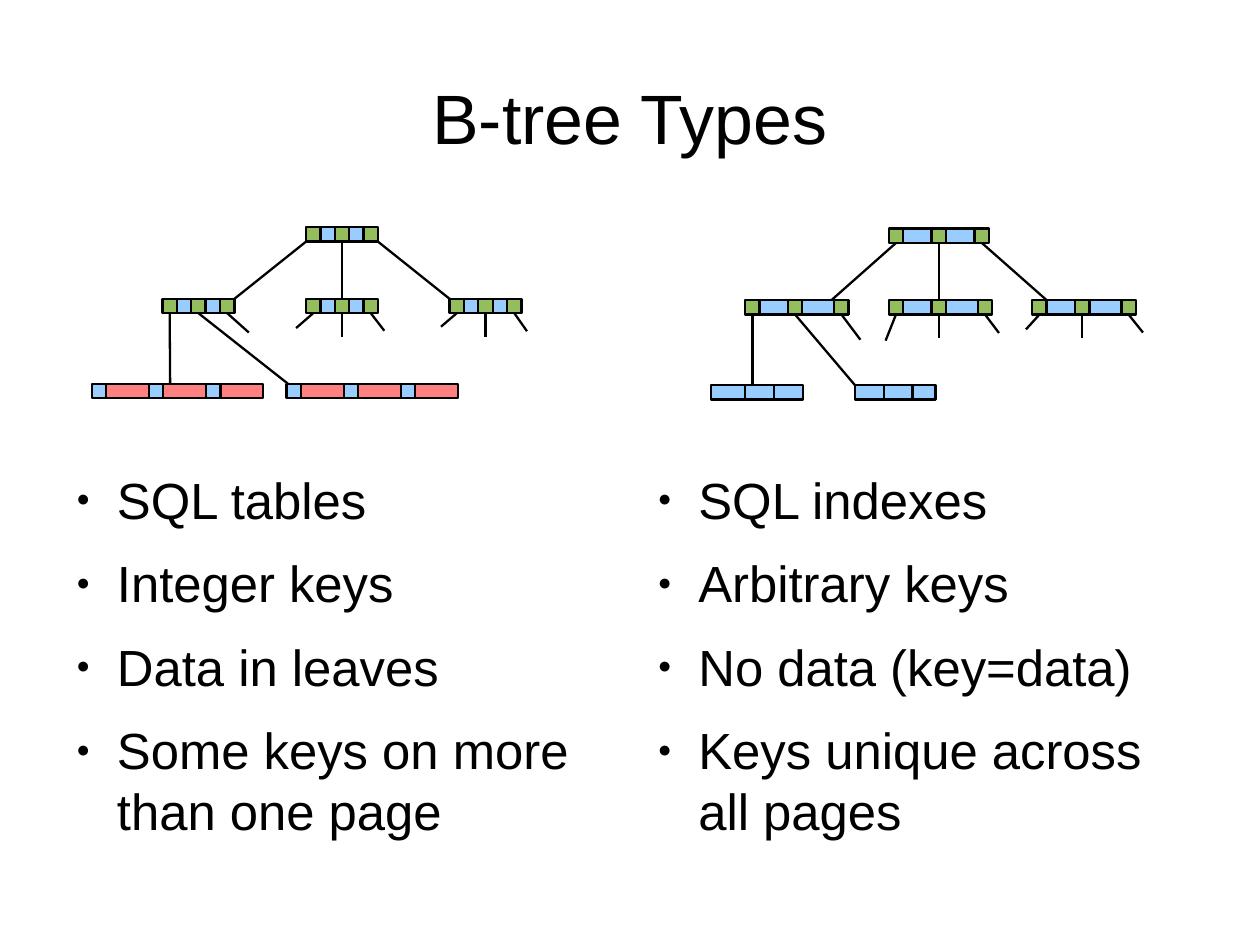
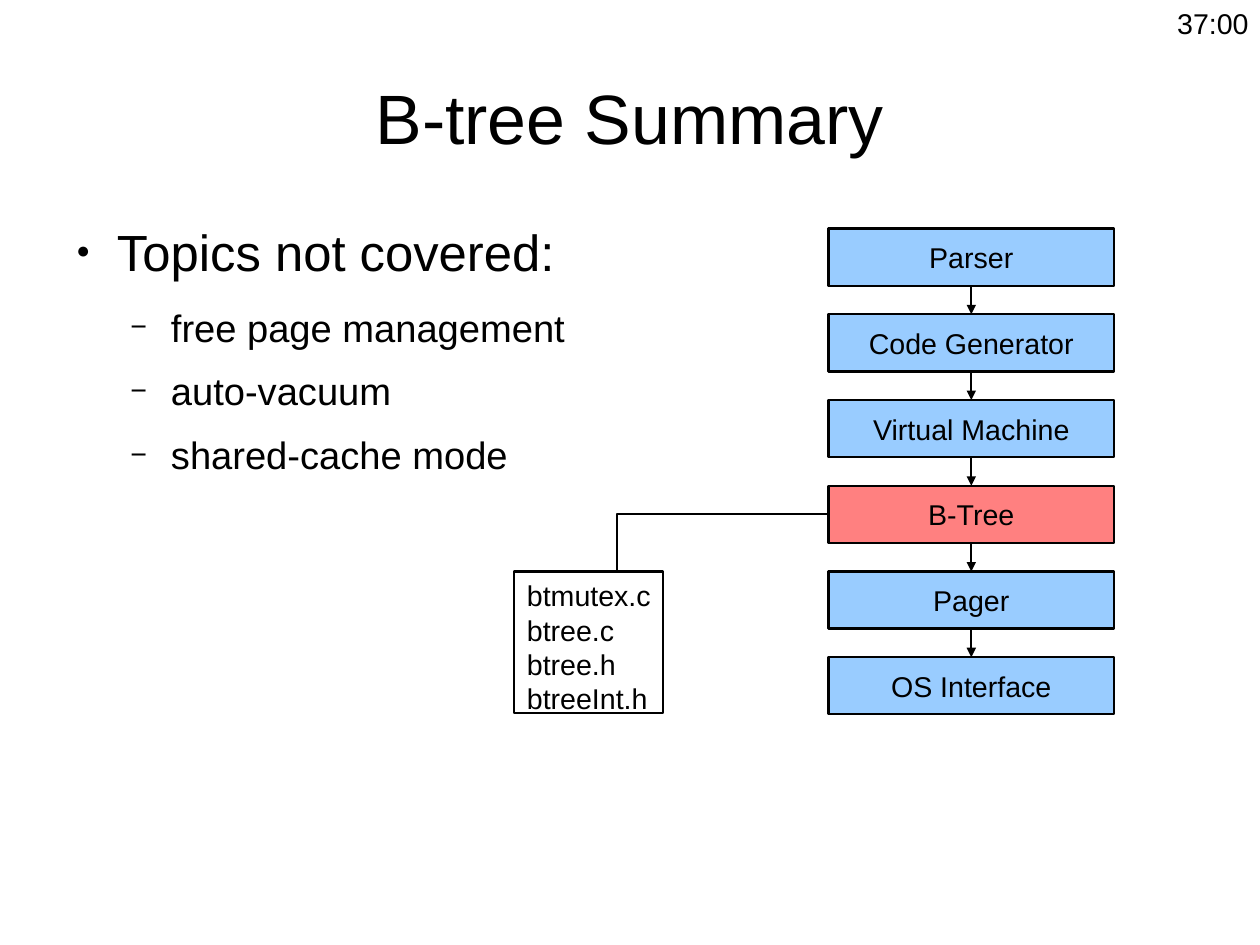
from dataclasses import dataclass

from lxml import etree
from pptx import Presentation
from pptx.dml.color import RGBColor
from pptx.enum import shapes, text
from pptx.oxml import ns
from pptx.util import Cm, Pt


@dataclass(frozen=True)
class Theme:
    font: str = "Arial"
    ink: str = "000000"
    blue: str = "99CCFF"
    green: str = "94BD5E"
    red: str = "FF8080"
    title: int = 44
    body: int = 32
    sub: int = 24
    label: int = 18
    line: float = 1.45


THEME = Theme()

# Bullet levels: character, size in %, left margin in cm, text size, space after
LEVELS = [("●", 45, 1.2, THEME.body, 14.2), ("−", 75, 2.4, THEME.sub, 11.3)]
BULLET_HANG = 0.9

# Lengths in cm. Cells are P (pointer), K (key) or D (data).
CELL_FILLS = {"P": THEME.green, "K": THEME.blue, "D": THEME.red}
CELL = 0.32
NODE_PITCH = 3.19
LEVEL_DROPS = (0, 1.59, 3.48)

# A branch or leaf link goes from (cell, fraction of its width) to another such
# pair; a stub hangs from (node, cell) by (dx, dy).
TREES = [
    {
        "top": 5.05,
        "root": (6.8, "PKPKP", [CELL] * 5),
        "node": (3.61, "PKPKP", [CELL] * 5),
        "leaves": [(x, "KDKDKD", [CELL, 0.95] * 3) for x in (2.04, 6.37)],
        "branches": [((0, 0), (4, 1)), ((2, 0.5), (2, 0.5)), ((4, 1), (0, 0))],
        "leaf_links": [((0, 0.5), (3, 0.16)), ((2, 0.5), (0, 0.1))],
        "stubs": [(0, 4, 0.48, 0.43), (1, 0, -0.38, 0.33), (1, 2, 0, 0.53),
                  (1, 4, 0.3, 0.39), (2, 0, -0.35, 0.3), (2, 2, 0, 0.53),
                  (2, 4, 0.28, 0.4)],
    },
    {
        "top": 5.08,
        "root": (19.75, "PKPKP", [CELL, 0.63, CELL, 0.64, CELL]),
        "node": (16.56, "PKPKP", [CELL, 0.63, CELL, 0.71, CELL]),
        "leaves": [(15.8, "KKK", [0.76, 0.64, 0.64]),
                   (19, "KKK", [0.64, 0.64, 0.51])],
        "branches": [((0, 0.5), (4, -0.2)), ((2, 0.5), (2, 0.5)),
                     ((4, 0.5), (0, 1))],
        "leaf_links": [((0, 0.5), (1, 0.25)), ((2, 0.5), (0, 0))],
        "stubs": [(0, 4, 0.42, 0.56), (1, 0, -0.23, 0.58), (1, 2, 0, 0.53),
                  (1, 4, 0.31, 0.41), (2, 0, -0.3, 0.33), (2, 2, 0, 0.53),
                  (2, 4, 0.32, 0.4)],
    },
]
# Left edge in cm, then the points
COLUMNS = [
    (1.4, ["SQL tables", "Integer keys", "Data in leaves",
           "Some keys on more than one page"]),
    (14.32, ["SQL indexes", "Arbitrary keys", "No data (key=data)",
             "Keys unique across all pages"]),
]

TOPICS = [("Topics not covered:", 0), ("free page management", 1),
          ("auto-vacuum", 1), ("shared-cache mode", 1)]
LAYERS = ["Parser", "Code Generator", "Virtual Machine", "B-Tree", "Pager",
          "OS Interface"]
CURRENT_LAYER = "B-Tree"
FILES = ["btmutex.c", "btree.c", "btree.h", "btreeInt.h"]
TIMESTAMP = "37:00"


def set_line(line):
    line.color.rgb = RGBColor.from_string(THEME.ink)
    line.width = Pt(THEME.line)


def set_font(paragraph, size):
    paragraph.font.name = THEME.font
    paragraph.font.size = Pt(size)
    paragraph.font.color.rgb = RGBColor.from_string(THEME.ink)


def write(shape, lines, size, align, insets, anchor=text.MSO_ANCHOR.TOP, wrap=True):
    """Fill a shape with plain paragraphs; insets are (horizontal, vertical) in cm."""
    frame = shape.text_frame
    frame.word_wrap = wrap
    frame.vertical_anchor = anchor
    frame.margin_left = frame.margin_right = Cm(insets[0])
    frame.margin_top = frame.margin_bottom = Cm(insets[1])
    frame.text = "\n".join(lines)
    for paragraph in frame.paragraphs:
        paragraph.alignment = align
        set_font(paragraph, size)


def add_text(slide, box, lines, size, align=text.PP_ALIGN.LEFT, **options):
    shape = slide.shapes.add_textbox(*map(Cm, box))
    write(shape, lines, size, align, (0, 0), **options)
    return shape


def add_bullets(slide, box, points):
    """Write (text, level) points as a bulleted list."""
    shape = add_text(slide, box, [point for point, _ in points], THEME.body)
    for paragraph, (_, level) in zip(shape.text_frame.paragraphs, points):
        mark, percent, margin, size, after = LEVELS[level]
        paragraph.level = level
        paragraph.space_after = Pt(after)
        set_font(paragraph, size)
        defaults = paragraph.font._element
        props = defaults.getparent()
        props.set("marL", str(Cm(margin)))
        props.set("indent", str(-Cm(BULLET_HANG)))
        color = etree.Element(ns.qn("a:buClr"))
        etree.SubElement(color, ns.qn("a:srgbClr"), val=THEME.ink)
        for element in (color,
                        etree.Element(ns.qn("a:buSzPct"), val=str(percent * 1000)),
                        etree.Element(ns.qn("a:buFont"), typeface=THEME.font),
                        etree.Element(ns.qn("a:buChar"), char=mark)):
            defaults.addprevious(element)


def add_box(slide, box, fill=None):
    shape = slide.shapes.add_shape(shapes.MSO_SHAPE.RECTANGLE, *map(Cm, box))
    shape.shadow.inherit = False
    if fill:
        shape.fill.solid()
        shape.fill.fore_color.rgb = RGBColor.from_string(fill)
    else:
        shape.fill.background()
    set_line(shape.line)
    return shape


def add_line(slide, start, end, arrow=False):
    connector = slide.shapes.add_connector(shapes.MSO_CONNECTOR.STRAIGHT, *start, *end)
    set_line(connector.line)
    if arrow:
        etree.SubElement(connector.line._get_or_add_ln(), ns.qn("a:tailEnd"),
                         type="triangle")
    etree.SubElement(connector._element.spPr, ns.qn("a:effectLst"))
    return connector


def below(shape, fraction=0.5):
    return shape.left + round(shape.width * fraction), shape.top + shape.height


def above(shape, fraction=0.5):
    return shape.left + round(shape.width * fraction), shape.top


def link(slide, upper, lower, start=0.5, end=0.5, arrow=False):
    """Join two rectangles, bottom to top, at fractions of their widths."""
    connector = add_line(slide, below(upper, start), above(lower, end), arrow)
    if start == 0.5:
        connector.begin_connect(upper, 2)
    if end == 0.5:
        connector.end_connect(lower, 0)


def add_node(slide, left, top, kinds, widths):
    cells = []
    for kind, width in zip(kinds, widths):
        cells.append(add_box(slide, (left, top, width, CELL), CELL_FILLS[kind]))
        left += width
    return cells


def add_tree(slide, tree):
    root_top, node_top, leaf_top = (tree["top"] + drop for drop in LEVEL_DROPS)
    left, *cells = tree["root"]
    root = add_node(slide, left, root_top, *cells)
    left, *cells = tree["node"]
    nodes = [add_node(slide, left + i * NODE_PITCH, node_top, *cells) for i in range(3)]
    leaves = [add_node(slide, x, leaf_top, *cells) for x, *cells in tree["leaves"]]

    links = [(root, node, ends) for node, ends in zip(nodes, tree["branches"])]
    links += [(nodes[0], leaf, ends) for leaf, ends in zip(leaves, tree["leaf_links"])]
    for parent, child, ((i, start), (j, end)) in links:
        link(slide, parent[i], child[j], start, end)
    for node, cell, dx, dy in tree["stubs"]:
        x, y = below(nodes[node][cell])
        stub = add_line(slide, (x, y), (x + Cm(dx), y + Cm(dy)))
        stub.begin_connect(nodes[node][cell], 2)


def add_layers(slide):
    """Draw the stack of layers and return the current one."""
    left, top, width, height = 18.41, 5.08, 6.35, 1.27
    boxes = []
    for i, layer in enumerate(LAYERS):
        fill = THEME.red if layer == CURRENT_LAYER else THEME.blue
        box = add_box(slide, (left, top + i * height * 1.5, width, height), fill)
        write(box, [layer], THEME.label, text.PP_ALIGN.CENTER, (0.28, 0.15),
              text.MSO_ANCHOR.MIDDLE)
        boxes.append(box)
    for upper, lower in zip(boxes, boxes[1:]):
        link(slide, upper, lower, arrow=True)
    return boxes[LAYERS.index(CURRENT_LAYER)]


def add_files(slide, layer):
    """List the source files and tie them to their layer."""
    files = add_box(slide, (11.43, 12.7, 3.3, 3.15))
    write(files, FILES, THEME.label, text.PP_ALIGN.LEFT, (0.28, 0.15), wrap=False)
    bend, middle = Cm(13.71), layer.top + layer.height // 2
    builder = slide.shapes.build_freeform(layer.left, middle)
    builder.add_line_segments([(bend, middle), (bend, files.top)], close=False)
    elbow = builder.convert_to_shape()
    elbow.shadow.inherit = False
    elbow.fill.background()
    set_line(elbow.line)


def new_slide(deck, title):
    slide = deck.slides.add_slide(deck.slide_layouts[6])
    add_text(slide, (1.4, 0.84, 25.2, 3.5), [title], THEME.title,
             text.PP_ALIGN.CENTER, anchor=text.MSO_ANCHOR.MIDDLE)
    return slide


def main():
    deck = Presentation()
    deck.slide_width, deck.slide_height = Cm(28), Cm(21)

    types = new_slide(deck, "B-tree Types")
    for tree in TREES:
        add_tree(types, tree)
    for left, points in COLUMNS:
        add_bullets(types, (left, 10.41, 12.29, 9), [(point, 0) for point in points])

    summary = new_slide(deck, "B-tree Summary")
    add_files(summary, add_layers(summary))
    add_bullets(summary, (1.4, 4.9, 14.1, 12.2), TOPICS)
    add_text(summary, (26.16, 0.13, 1.8, 0.8), [TIMESTAMP], THEME.label)

    deck.save("out.pptx")


if __name__ == "__main__":
    main()
